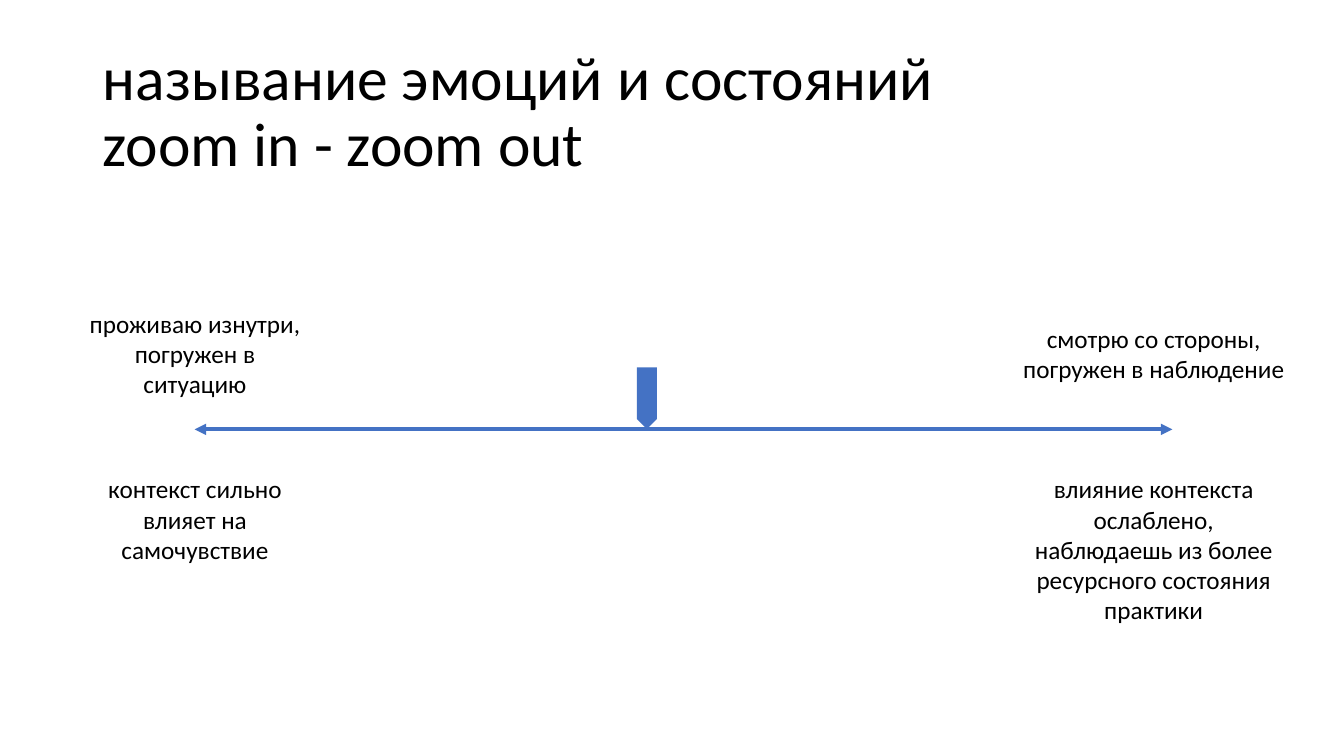
from lxml.etree import SubElement
from pptx import Presentation
from pptx.dml.color import RGBColor
from pptx.enum.shapes import MSO_CONNECTOR as Connector, MSO_SHAPE as Shape
from pptx.enum.text import MSO_ANCHOR as Anchor, MSO_AUTO_SIZE as AutoSize, PP_ALIGN as Align
from pptx.oxml.ns import qn
from pptx.util import Inches, Pt

COLORS = {"text": "000000", "accent": "4472C4"}
FONT = "Calibri"
TITLE_SIZE, LABEL_SIZE = 44, 18

# Centres of the two label columns and the axis, in percent of the slide
LEFT_CENTER, RIGHT_CENTER = 14.51, 85.84
AXIS_START, AXIS_END, AXIS_Y = 14.48, 87.23, 56.8
LOWER_TOP, LOWER_WIDTH = 62, 20.03

# Centre, top, width, height, paragraphs
LABELS = [
    (LEFT_CENTER, 40.13, 17.33, 13.47, ["проживаю изнутри,", "погружен в ситуацию"]),
    (RIGHT_CENTER, 42.13, 25.58, 9.47, ["смотрю со стороны,", "погружен в наблюдение"]),
    (LEFT_CENTER, LOWER_TOP, LOWER_WIDTH, 13.47, ["контекст сильно влияет на самочувствие"]),
    (RIGHT_CENTER, LOWER_TOP, LOWER_WIDTH, 21.6,
     ["влияние контекста ослаблено, наблюдаешь из более ресурсного состояния практики"]),
]


class SlideBuilder:
    """Draws on one slide; every length is a percentage of its width or height."""

    def __init__(self, deck):
        self.deck = deck
        self.page = deck.slides.add_slide(deck.slide_layouts[5])

    def across(self, percent):
        return round(self.deck.slide_width * percent / 100)

    def down(self, percent):
        return round(self.deck.slide_height * percent / 100)

    def frame(self, left, top, width, height):
        return self.across(left), self.down(top), self.across(width), self.down(height)

    def color(self, name):
        return RGBColor.from_string(COLORS[name])

    def add_span(self, para, text, size):
        span = para.add_run()
        span.text = text
        span.font.name = FONT
        span.font.size = Pt(size)
        span.font.color.rgb = self.color("text")

    def title(self, lines, *place):
        box = self.page.shapes.title
        box.left, box.top, box.width, box.height = self.frame(*place)
        box.text_frame.auto_size = AutoSize.NONE
        box.text_frame.vertical_anchor = Anchor.MIDDLE
        para = box.text_frame.paragraphs[0]
        para.alignment = Align.LEFT
        para.line_spacing = 0.9
        for index, line in enumerate(lines):
            if index:
                para.add_line_break()
            self.add_span(para, line, TITLE_SIZE)

    def label(self, center, top, width, height, paragraphs):
        box = self.page.shapes.add_textbox(*self.frame(center - width / 2, top, width, height))
        text = box.text_frame
        text.word_wrap = True
        text.auto_size = AutoSize.SHAPE_TO_FIT_TEXT
        for index, line in enumerate(paragraphs):
            para = text.add_paragraph() if index else text.paragraphs[0]
            para.alignment = Align.CENTER
            self.add_span(para, line, LABEL_SIZE)

    def double_arrow(self, start, end, y):
        arrow = self.page.shapes.add_connector(
            Connector.STRAIGHT, self.across(start), self.down(y), self.across(end), self.down(y))
        arrow.line.color.rgb = self.color("accent")
        arrow.line.width = Pt(2.75)
        outline = arrow.line._get_or_add_ln()
        for tip in ("a:headEnd", "a:tailEnd"):
            SubElement(outline, qn(tip), type="triangle")
        SubElement(arrow._element.spPr, qn("a:effectLst"))

    def marker(self, *place):
        """Pentagon turned to point down at the axis."""
        pentagon = self.page.shapes.add_shape(Shape.PENTAGON, *self.frame(*place))
        pentagon.rotation = 90
        pentagon.shadow.inherit = False
        pentagon.fill.solid()
        pentagon.fill.fore_color.rgb = self.color("accent")
        pentagon.line.fill.background()


def main():
    deck = Presentation()
    deck.slide_width, deck.slide_height = Inches(13.33), Inches(7.5)
    slide = SlideBuilder(deck)
    slide.title(["называние эмоций и состояний", "zoom in - zoom out"], 6.9, 5.33, 86.27, 19.33)
    for label in LABELS:
        slide.label(*label)
    slide.double_arrow(AXIS_START, AXIS_END, AXIS_Y)
    slide.marker(45.84, 51.33, 4.58, 2.67)
    deck.save("out.pptx")


if __name__ == "__main__":
    main()
